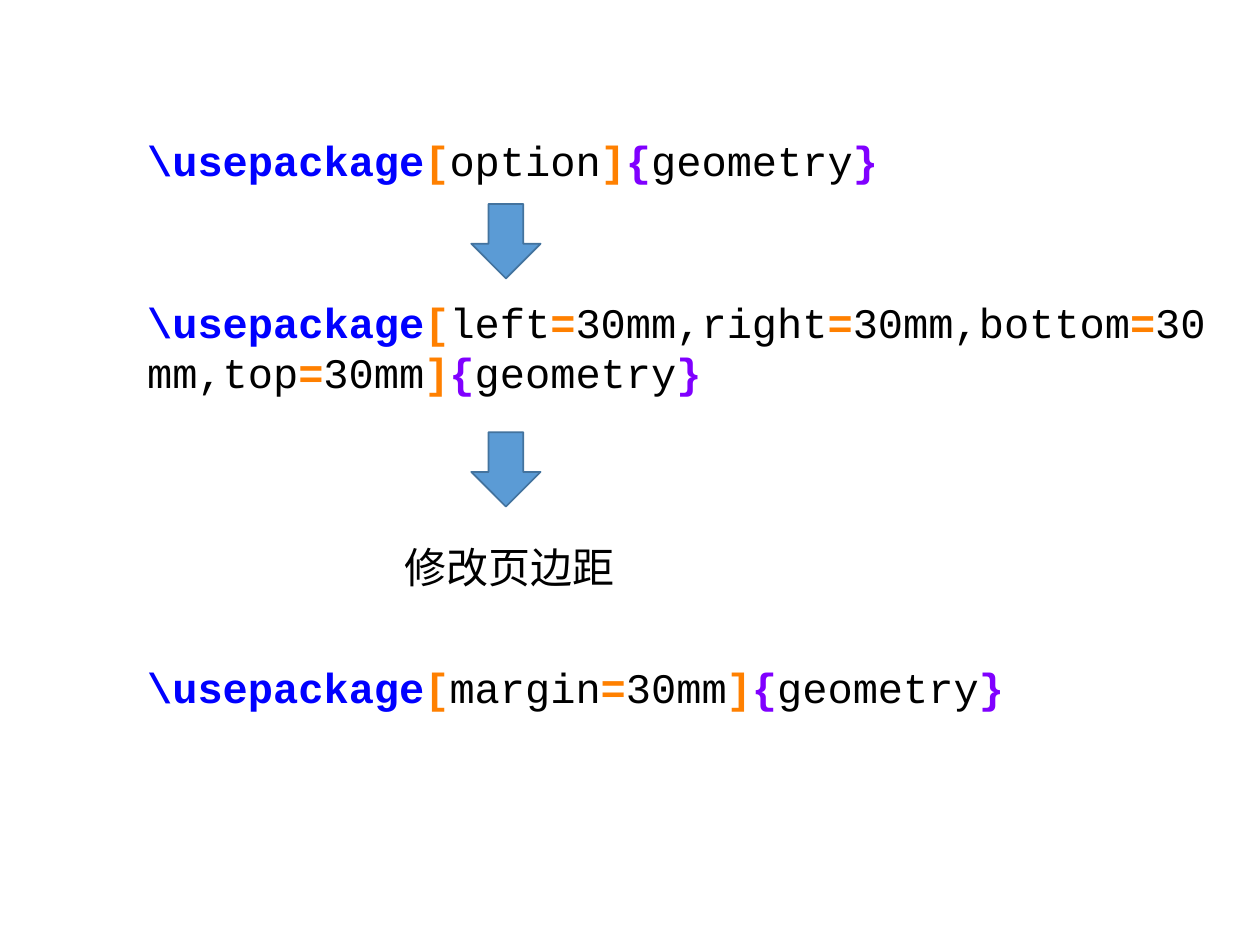
from itertools import groupby

from pptx import Presentation
from pptx.dml import color as col
from pptx.enum import shapes, text
from pptx.util import Pt

HUES = {
    "command": "0000FF",
    "option": "FF8000",
    "brace": "8000FF",
    "plain": "000000",
    "arrow": "5B9BD5",
    "edge": "43739E",
}
LEFT, WIDE = 77, 622.08


def rgb(name):
    return col.RGBColor.from_string(HUES[name])


def kind(char):
    if char in "[=]":
        return "option"
    return "brace" if char in "{}" else "plain"


def split(code):
    for name, chars in groupby(code, kind):
        part = "".join(chars)
        yield part, "command" if part.startswith("\\") else name


def add_text(slide, box, parts, font):
    frame = slide.shapes.add_textbox(*map(Pt, box)).text_frame
    frame.word_wrap = True
    frame.auto_size = text.MSO_AUTO_SIZE.SHAPE_TO_FIT_TEXT
    for part, name in parts:
        run = frame.paragraphs[0].add_run()
        run.text = part
        style = {"name": font, "size": Pt(24), "bold": name != "plain"}
        for key, value in style.items():
            setattr(run.font, key, value)
        run.font.color.rgb = rgb(name)


def add_code(slide, box, code):
    add_text(slide, box, split(code), "Courier New")


def add_arrow(slide, box):
    arrow = slide.shapes.add_shape(shapes.MSO_SHAPE.DOWN_ARROW, *map(Pt, box))
    arrow.shadow.inherit = False
    arrow.fill.solid()
    arrow.fill.fore_color.rgb = rgb("arrow")
    arrow.line.color.rgb = rgb("edge")
    arrow.line.width = Pt(1)


def main():
    deck = Presentation()
    deck.slide_width, deck.slide_height = Pt(720), Pt(540)
    slide = deck.slides.add_slide(deck.slide_layouts[6])

    codes = [
        (73.4, 36, r"\usepackage[option]{geometry}"),
        (165.6, 65.5,
         r"\usepackage[left=30mm,right=30mm,bottom=30mm,top=30mm]{geometry}"),
        (374.4, 36, r"\usepackage[margin=30mm]{geometry}"),
    ]
    for top, high, code in codes:
        add_code(slide, (LEFT, top, WIDE, high), code)
    for top in (116.6, 247):
        add_arrow(slide, (269.3, top, 39.6, 42.5))
    add_text(slide, (224, 306, 203, 36), [("修改页边距", "plain")], "Arial")

    deck.save("out.pptx")


if __name__ == "__main__":
    main()
